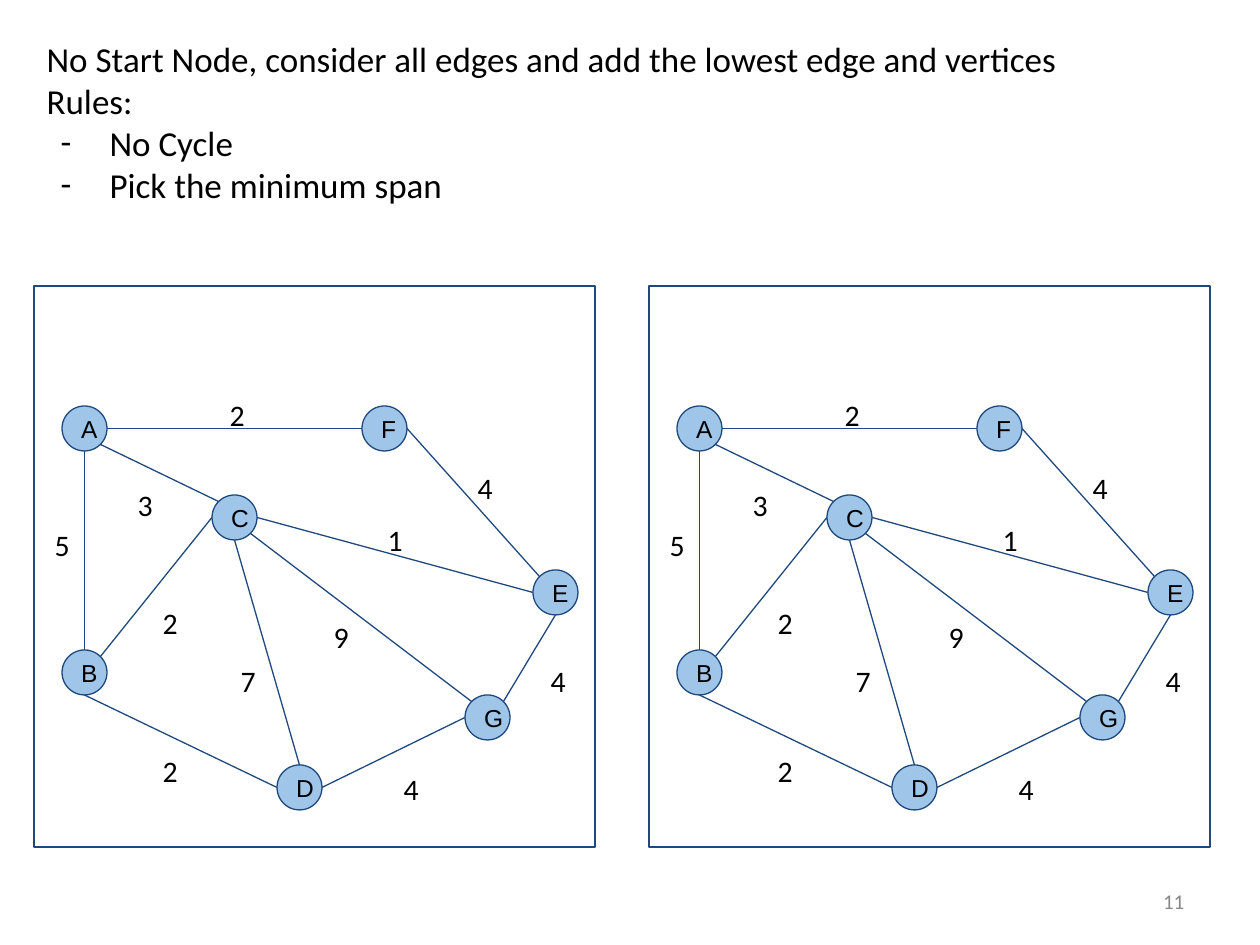
from pptx import Presentation
from pptx.dml.color import RGBColor
from pptx.enum.shapes import MSO_CONNECTOR as Connector, MSO_SHAPE as Shape
from pptx.enum.text import MSO_ANCHOR as Anchor, MSO_AUTO_SIZE as AutoSize, PP_ALIGN as Align
from pptx.oxml.ns import qn
from pptx.util import Emu, Pt
from lxml import etree

PIXEL = 914400 // 126
NAVY, SKY, BLACK, GRAY = "1F497D", "9FC5E8", "000000", "888888"
NODE_SIZE = 45
PANEL_SIZE = 561

# Top left corner of each node, relative to its panel
NODES = {
    "A": (28, 120), "B": (28, 364), "C": (178, 209), "D": (243, 479),
    "E": (499, 284), "F": (328, 120), "G": (431, 409),
}
# Direction from a node's centre to each connection site
DIAGONAL = 0.71
SITES = {
    "top": (0, -1), "bottom": (0, 1), "left": (-1, 0), "right": (1, 0),
    "top left": (-DIAGONAL, -DIAGONAL), "top right": (DIAGONAL, -DIAGONAL),
    "bottom right": (DIAGONAL, DIAGONAL),
}
# Start node and site, end node and site, weight, corner of the weight's box
EDGES = [
    ("A", "bottom", "B", "top", 5, (8, 228)),
    ("A", "bottom right", "C", "top left", 3, (91, 188)),
    ("A", "right", "F", "left", 2, (183, 98)),
    ("B", "bottom", "D", "left", 2, (116, 454)),
    ("C", "bottom", "D", "top", 7, (194, 364)),
    ("D", "right", "G", "left", 4, (357, 472)),
    ("G", "top right", "E", "bottom", 4, (504, 364)),
    ("F", "right", "E", "top left", 4, (431, 171)),
    ("C", "left", "B", "top right", 2, (116, 306)),
    ("C", "right", "E", "left", 1, (341, 223)),
    ("C", "bottom right", "G", "top left", 9, (287, 320)),
]


def px(*lengths):
    return [Emu(round(length * PIXEL)) for length in lengths]


def color(hex_string):
    return RGBColor.from_string(hex_string)


def set_frame(shape, text, size, font="Calibri", text_color=BLACK,
              align=Align.LEFT, anchor=Anchor.TOP, inset=12.6):
    frame = shape.text_frame
    frame.text = text
    frame.word_wrap = True
    frame.auto_size = AutoSize.NONE
    frame.vertical_anchor = anchor
    frame.margin_left, frame.margin_right = px(12.6, 12.6)
    frame.margin_top, frame.margin_bottom = px(inset, inset)
    for paragraph in frame.paragraphs:
        paragraph.alignment = align
        for run in paragraph.runs:
            run.font.size = Pt(size)
            run.font.name = font
            run.font.color.rgb = color(text_color)
    return frame


def add_outlined(slide, kind, left, top, size, fill=None):
    shape = slide.shapes.add_shape(kind, *px(left, top, size, size))
    shape.shadow.inherit = False
    if fill:
        shape.fill.solid()
        shape.fill.fore_color.rgb = color(fill)
    else:
        shape.fill.background()
    shape.line.color.rgb = color(NAVY)
    shape.line.width = Pt(0.75)
    return shape


def site_point(left, top, node, site):
    x, y = NODES[node]
    across, down = SITES[site]
    radius = NODE_SIZE / 2
    return left + x + radius * (1 + across), top + y + radius * (1 + down)


def add_graph(slide, left, top):
    # Panel
    add_outlined(slide, Shape.RECTANGLE, left, top, PANEL_SIZE)

    # Nodes
    for name, (x, y) in NODES.items():
        node = add_outlined(slide, Shape.OVAL, left + x, top + y, NODE_SIZE, SKY)
        set_frame(node, name, 14, "Arial", align=Align.CENTER, anchor=Anchor.MIDDLE)

    # Edges and weights
    for start, start_site, end, end_site, weight, (x, y) in EDGES:
        begin_point = site_point(left, top, start, start_site)
        end_point = site_point(left, top, end, end_site)
        edge = slide.shapes.add_connector(Connector.STRAIGHT, *px(*begin_point, *end_point))
        edge.line.color.rgb = color(NAVY)
        edge.line.width = Pt(0.75)
        etree.SubElement(edge.element.spPr, qn("a:effectLst"))
        label = slide.shapes.add_textbox(*px(left + x, top + y, 35, 44))
        set_frame(label, str(weight), 17)


def add_rules(slide, left, top, width, height):
    body = slide.placeholders[1]
    body.left, body.top, body.width, body.height = px(left, top, width, height)
    lines = [
        "No Start Node, consider all edges and add the lowest edge and vertices",
        "Rules:", "No Cycle", "Pick the minimum span",
    ]
    frame = set_frame(body, "\n".join(lines), 20)
    for index, paragraph in enumerate(frame.paragraphs):
        paragraph.space_before = Pt(0)
        properties = paragraph._p.get_or_add_pPr()
        listed = index >= 2
        margin, indent = px(63, -49) if listed else (0, 0)
        properties.set("marL", str(margin))
        properties.set("indent", str(indent))
        if listed:
            etree.SubElement(properties, qn("a:buFont"), typeface="Calibri")
            etree.SubElement(properties, qn("a:buChar"), char="-")
        else:
            etree.SubElement(properties, qn("a:buNone"))


def add_page_number(slide, left, top, width, height):
    box = slide.shapes.add_textbox(*px(left, top, width, height))
    set_frame(box, "11", 12, text_color=GRAY, align=Align.RIGHT,
              anchor=Anchor.MIDDLE, inset=6.3)


presentation = Presentation()
presentation.slide_width, presentation.slide_height = px(1260, 945)
slide = presentation.slides.add_slide(presentation.slide_layouts[1])
title = slide.shapes.title.element
title.getparent().remove(title)

add_rules(slide, 34, 25, 1105, 199)
for panel_left in (34, 649):
    add_graph(slide, panel_left, 286)
add_page_number(slide, 903, 876, 294, 50)

presentation.save("out.pptx")
